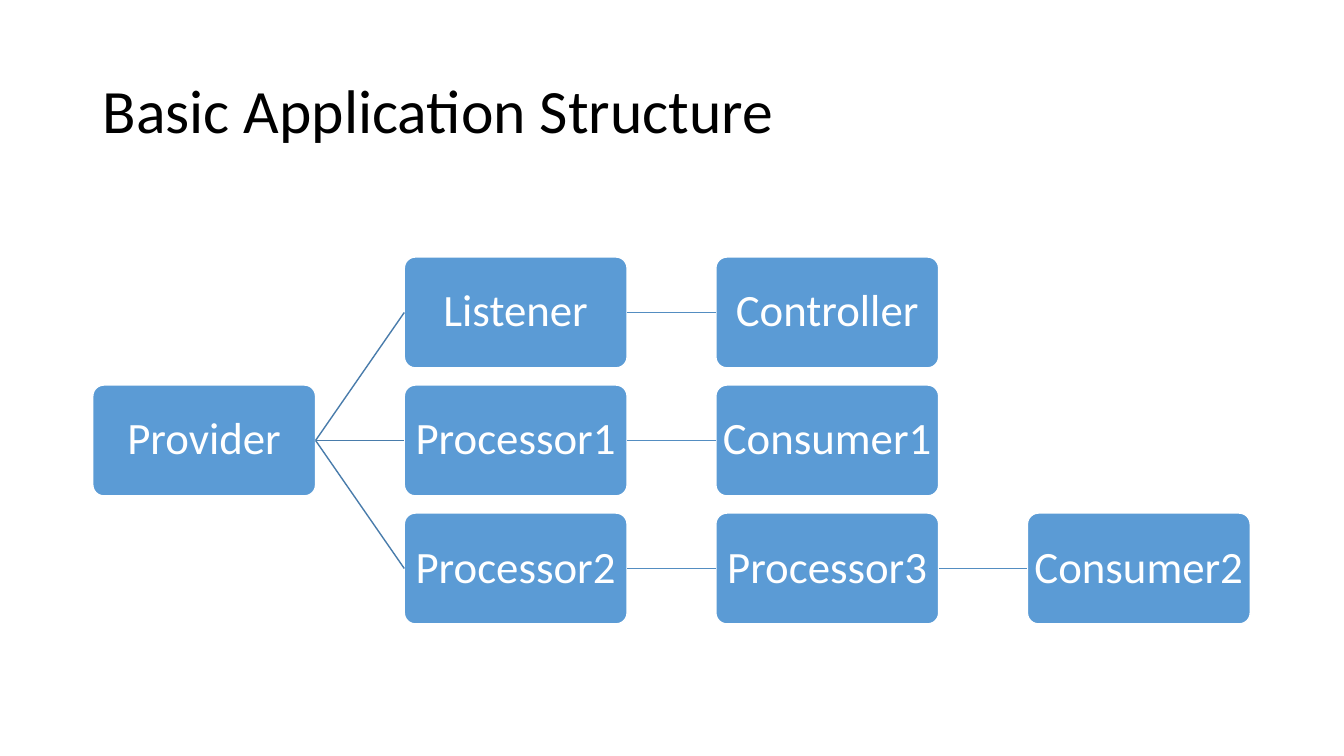
from lxml import etree
from pptx import Presentation
from pptx.dml.color import RGBColor
from pptx.enum.shapes import MSO_CONNECTOR, MSO_SHAPE
from pptx.enum.text import MSO_ANCHOR, PP_ALIGN
from pptx.oxml.ns import qn
from pptx.util import Inches, Pt

ROUND = MSO_SHAPE.ROUNDED_RECTANGLE
LINE = MSO_CONNECTOR.STRAIGHT
MIDDLE = MSO_ANCHOR.MIDDLE
LEFT, CENTER = PP_ALIGN.LEFT, PP_ALIGN.CENTER
LEFT_SIDE, RIGHT_SIDE = 1, 3


def hue(code):
    return RGBColor.from_string(code)


def apply(target, values):
    for name, value in values.items():
        setattr(target, name, value)


class Chart:
    font = "Calibri"
    fill, edge = "5B9BD5", "FFFFFF"
    left, top = 0.92, 2.55
    step, drop = 3.09, 1.27
    wide, high = 2.21, 1.1

    def __init__(self, slide):
        self.slide = slide

    def label(self, shape, text, size, color, align, **frame):
        apply(shape.text_frame, {"vertical_anchor": MIDDLE, **frame})
        para = shape.text_frame.paragraphs[0]
        apply(para, {"text": text, "alignment": align, "line_spacing": 0.9})
        apply(para.runs[0].font, {"name": self.font, "size": Pt(size)})
        para.runs[0].font.color.rgb = hue(color)

    def title(self, text):
        area = [Inches(n) for n in (self.left, 0.4, 11.5, 1.45)]
        box = self.slide.shapes.add_textbox(*area)
        self.label(box, text, 44, "000000", LEFT, word_wrap=True)

    def node(self, text, col, row):
        area = (self.left + col * self.step, self.top + row * self.drop,
                self.wide, self.high)
        box = self.slide.shapes.add_shape(ROUND, *[Inches(n) for n in area])
        box.adjustments[0] = 0.1
        box.shadow.inherit = False
        box.fill.solid()
        box.fill.fore_color.rgb = hue(self.fill)
        box.line.color.rgb = hue(self.edge)
        box.line.width = Pt(1)
        sides = ("left", "right", "top", "bottom")
        pads = {f"margin_{side}": Inches(0.02) for side in sides}
        self.label(box, text, 32, "FFFFFF", CENTER, word_wrap=False, **pads)
        return box

    def link(self, start, end, color):
        line = self.slide.shapes.add_connector(LINE, 0, 0, 0, 0)
        line.begin_connect(start, RIGHT_SIDE)
        line.end_connect(end, LEFT_SIDE)
        line.line.color.rgb = hue(color)
        line.line.width = Pt(1)
        etree.SubElement(line._element.spPr, qn("a:effectLst"))


deck = Presentation()
apply(deck, {"slide_width": Inches(13.33), "slide_height": Inches(7.5)})
chart = Chart(deck.slides.add_slide(deck.slide_layouts[6]))
chart.title("Basic Application Structure")

root = chart.node("Provider", 0, 1)
flows = [
    ["Listener", "Controller"],
    ["Processor1", "Consumer1"],
    ["Processor2", "Processor3", "Consumer2"],
]
for row, flow in enumerate(flows):
    last = root
    for col, name in enumerate(flow, 1):
        box = chart.node(name, col, row)
        chart.link(last, box, "497CAB" if last is root else "538DC1")
        last = box

deck.save("out.pptx")
